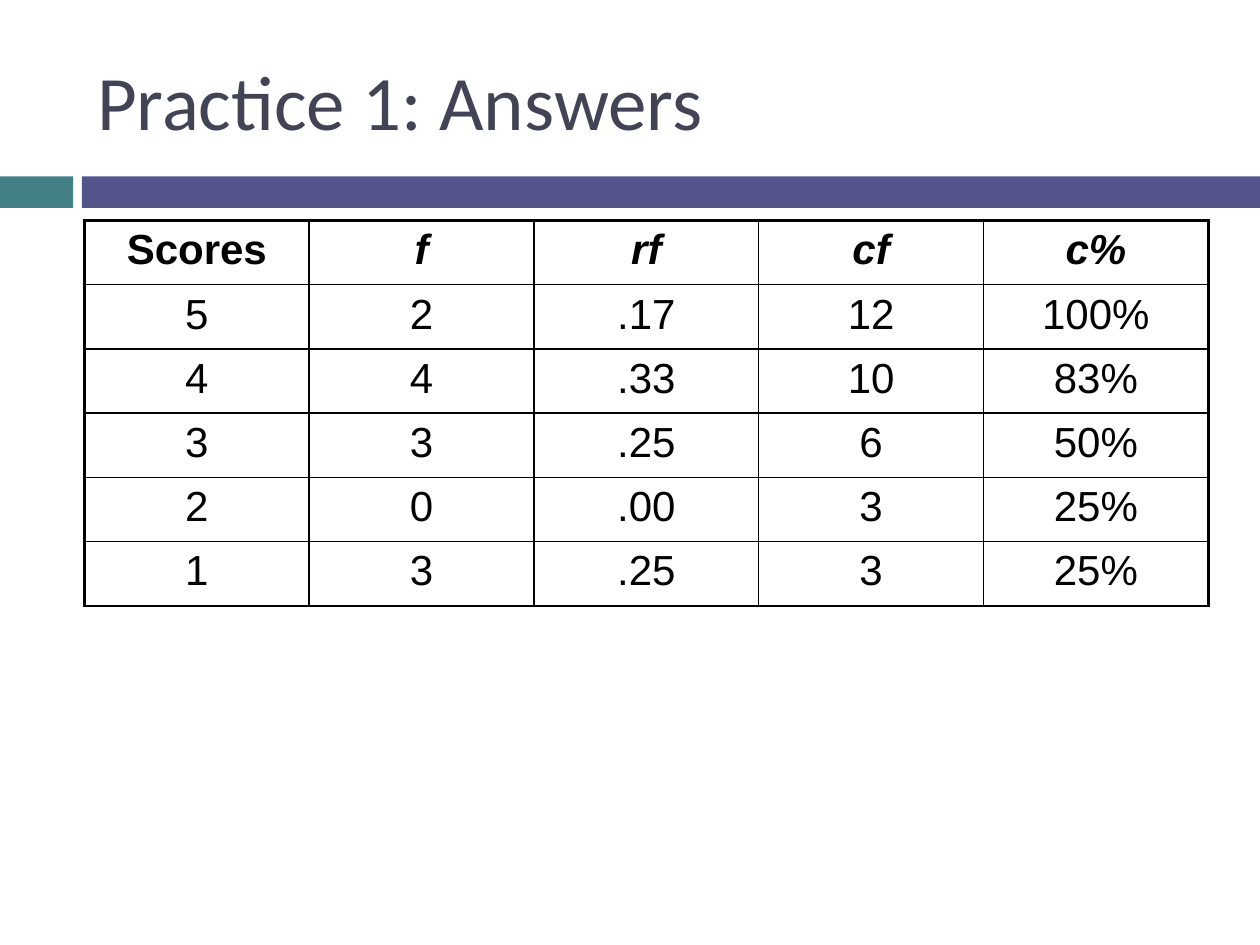
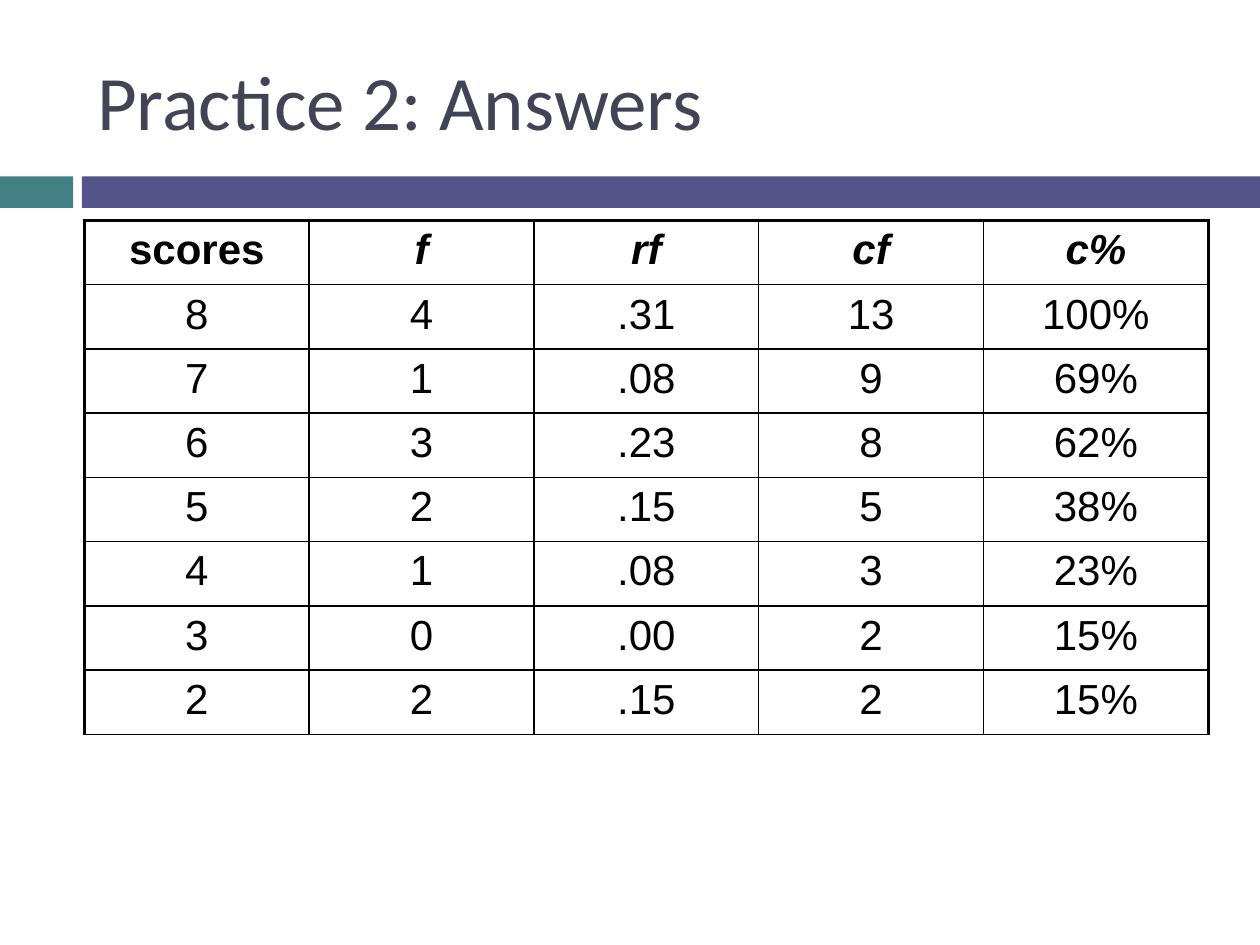
import dataclasses

import lxml.etree
import pptx
import pptx.dml.color
import pptx.enum.shapes
import pptx.enum.text
import pptx.oxml.ns
import pptx.util

Inches = pptx.util.Inches
Pt = pptx.util.Pt
RGBColor = pptx.dml.color.RGBColor
PP_ALIGN = pptx.enum.text.PP_ALIGN
MSO_ANCHOR = pptx.enum.text.MSO_ANCHOR


@dataclasses.dataclass(frozen=True)
class Theme:
    title_color: str = "424456"
    accent_color: str = "438086"
    band_color: str = "53548A"
    ink: str = "000000"
    title_font: str = "Calibri"
    table_font: str = "Arial"
    title_size: float = 44
    table_size: float = 24
    thin_rule: float = 1
    thick_rule: float = 2.25


theme = Theme()


def write_text(frame, text, *, font, size, color, align, bold=False, italic=False):
    paragraph = frame.paragraphs[0]
    paragraph.alignment = align
    run = paragraph.add_run()
    run.text = text
    run.font.name = font
    run.font.size = Pt(size)
    run.font.color.rgb = RGBColor.from_string(color)
    run.font.bold = bold
    run.font.italic = italic


def draw_border(cell, side, width):
    """Rule one side of a cell: L, R, T or B. Call before setting the cell's fill."""
    qn = pptx.oxml.ns.qn
    rule = lxml.etree.SubElement(
        cell._tc.get_or_add_tcPr(), qn(f"a:ln{side}"), w=str(Pt(width)))
    solid = lxml.etree.SubElement(rule, qn("a:solidFill"))
    lxml.etree.SubElement(solid, qn("a:srgbClr"), val=theme.ink)


bands = [(0, 0.58, theme.accent_color), (0.65, 9.35, theme.band_color)]
content_left, content_width = 0.67, 8.92
row_height = 0.51

answers = {
    "Practice 1: Answers": [
        ("Scores", "f", "rf", "cf", "c%"),
        ("5", "2", ".17", "12", "100%"),
        ("4", "4", ".33", "10", "83%"),
        ("3", "3", ".25", "6", "50%"),
        ("2", "0", ".00", "3", "25%"),
        ("1", "3", ".25", "3", "25%"),
    ],
    "Practice 2: Answers": [
        ("scores", "f", "rf", "cf", "c%"),
        ("8", "4", ".31", "13", "100%"),
        ("7", "1", ".08", "9", "69%"),
        ("6", "3", ".23", "8", "62%"),
        ("5", "2", ".15", "5", "38%"),
        ("4", "1", ".08", "3", "23%"),
        ("3", "0", ".00", "2", "15%"),
        ("2", "2", ".15", "2", "15%"),
    ],
}

presentation = pptx.Presentation()
presentation.slide_width = Inches(10)
presentation.slide_height = Inches(7.5)
title_only = presentation.slide_layouts[5]

for heading, scores in answers.items():
    slide = presentation.slides.add_slide(title_only)

    for left, width, color in bands:
        band = slide.shapes.add_shape(
            pptx.enum.shapes.MSO_SHAPE.RECTANGLE,
            Inches(left), Inches(1.4), Inches(width), Inches(0.25))
        band.shadow.inherit = False
        band.fill.solid()
        band.fill.fore_color.rgb = RGBColor.from_string(color)
        band.line.fill.background()

    title = slide.shapes.title
    title.left, title.top = Inches(content_left), Inches(0.25)
    title.width, title.height = Inches(content_width), Inches(1.08)
    title.text_frame.vertical_anchor = MSO_ANCHOR.MIDDLE
    title.text_frame.auto_size = pptx.enum.text.MSO_AUTO_SIZE.NONE
    write_text(title.text_frame, heading, font=theme.title_font,
               size=theme.title_size, color=theme.title_color, align=PP_ALIGN.LEFT)

    column_count = len(scores[0])
    frequencies = slide.shapes.add_table(
        len(scores), column_count, Inches(content_left), Inches(1.75),
        Inches(content_width), Inches(row_height * len(scores))).table
    frequencies.first_row = False
    frequencies.horz_banding = False

    for row, values in enumerate(scores):
        is_header = row == 0
        for column, value in enumerate(values):
            cell = frequencies.cell(row, column)
            outer_sides = {"L": column == 0, "R": column == column_count - 1,
                           "T": is_header, "B": False}
            for side, is_outer in outer_sides.items():
                draw_border(cell, side, theme.thick_rule if is_outer else theme.thin_rule)
            cell.fill.background()
            cell.vertical_anchor = MSO_ANCHOR.TOP
            write_text(cell.text_frame, value, font=theme.table_font,
                       size=theme.table_size, color=theme.ink, align=PP_ALIGN.CENTER,
                       bold=is_header, italic=is_header and column > 0)

presentation.save("out.pptx")
